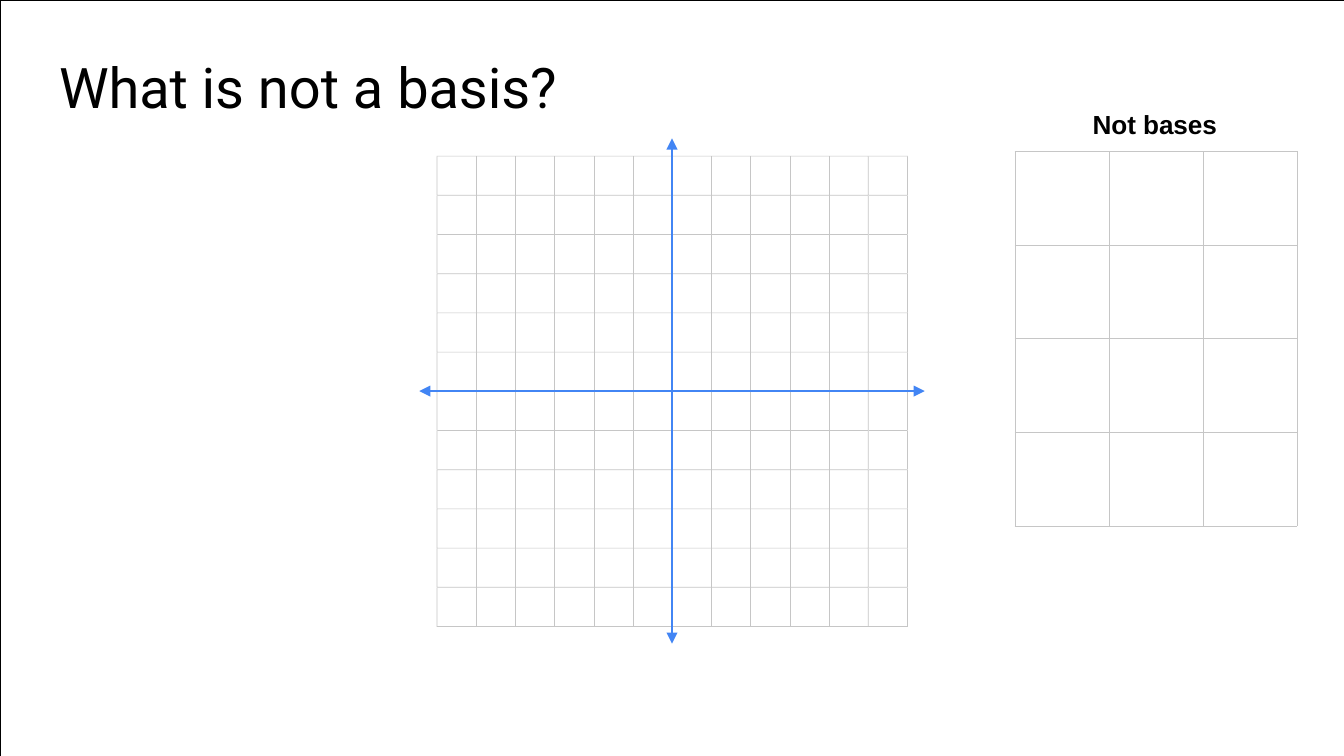
from lxml import etree
from pptx import Presentation
from pptx import util as u
from pptx.dml.color import RGBColor
from pptx.enum import shapes, text
from pptx.oxml.ns import qn

COLORS = {"ink": "000000", "grid": "C6C6C6", "axis": "4285F4"}


class Deck:
    def __init__(self, width, height):
        self.prs = Presentation()
        self.prs.slide_width = u.Inches(width)
        self.prs.slide_height = u.Inches(height)
        self.s = self.prs.slides.add_slide(self.prs.slide_layouts[6])

    def color(self, name):
        return RGBColor.from_string(COLORS[name])

    def frame(self, x, y, w, h):
        sp = self.s.shapes.add_shape(
            shapes.MSO_SHAPE.RECTANGLE, *map(u.Inches, (x, y, w, h)))
        sp.shadow.inherit = False
        sp.fill.background()
        sp.line.color.rgb = self.color("ink")
        sp.line.width = u.Pt(0.25)

    def bars(self, boxes, color):
        """One filled outline made of (x, y, w, h) bars."""
        fb = None
        for box in boxes:
            x, y, w, h = map(u.Inches, box)
            if fb is None:
                fb = self.s.shapes.build_freeform(x, y)
            else:
                fb.move_to(x, y)
            fb.add_line_segments([(x + w, y), (x + w, y + h), (x, y + h)])
        sp = fb.convert_to_shape()
        sp.shadow.inherit = False
        sp.fill.solid()
        sp.fill.fore_color.rgb = self.color(color)
        sp.line.fill.background()

    def axis(self, x1, y1, x2, y2):
        c = self.s.shapes.add_connector(
            shapes.MSO_CONNECTOR.STRAIGHT, *map(u.Inches, (x1, y1, x2, y2)))
        c.line.color.rgb = self.color("axis")
        c.line.width = u.Pt(1)
        ln = c.line._get_or_add_ln()
        for end in ("a:headEnd", "a:tailEnd"):
            etree.SubElement(ln, qn(end), type="triangle", w="med", len="med")
        etree.SubElement(c._element.spPr, qn("a:effectLst"))

    def label(self, x, y, w, h, runs, font, size, bold=False):
        sp = self.s.shapes.add_textbox(*map(u.Inches, (x, y, w, h)))
        tf = sp.text_frame
        tf.word_wrap = False
        tf.auto_size = text.MSO_AUTO_SIZE.NONE
        tf.margin_right = tf.margin_top = tf.margin_bottom = 0
        tf.margin_left = u.Inches(0.01)
        p = tf.paragraphs[0]
        for words, spacing in runs:
            r = p.add_run()
            r.text = words
            r.font.name = font
            r.font.size = u.Pt(size)
            r.font.bold = bold
            r.font.color.rgb = self.color("ink")
            r._r.get_or_add_rPr().set("spc", str(spacing))

    def empty_table(self, x, y, w, h, rows, cols):
        tb = self.s.shapes.add_table(
            rows, cols, *map(u.Inches, (x, y, w, h))).table
        tb.first_row = tb.horz_banding = False
        for part in tb.columns:
            part.width = u.Inches(w / cols)
        for part in tb.rows:
            part.height = u.Inches(h / rows)
        for c in tb.iter_cells():
            self.borders(c)
            c.fill.background()

    def borders(self, cell):
        tc_pr = cell._tc.get_or_add_tcPr()
        for side in ("a:lnL", "a:lnR", "a:lnT", "a:lnB"):
            ln = etree.SubElement(tc_pr, qn(side), w=str(u.Pt(0.25)))
            fill = etree.SubElement(ln, qn("a:solidFill"))
            etree.SubElement(fill, qn("a:srgbClr"), val=COLORS["grid"])


def main():
    d = Deck(10, 5.625)
    d.frame(0, 0, 10, 5.625)

    # Coordinate grid, 12 by 12 squares
    left, top, side, n = 3.25, 1.16, 3.5, 12
    thick = u.Pt(0.35).inches
    steps = [i * side / n for i in range(n + 1)]
    columns = [(left + step, top, thick, side) for step in steps]
    rows = [(left, top + step, side + thick, thick) for step in steps]
    for column in columns[1:-2]:
        d.bars([column], "grid")
    d.bars(columns[:1] + columns[-2:] + rows, "grid")

    # Axes
    cx, cy, reach = 5, 2.91, 1.88
    d.axis(cx - reach, cy, cx + reach, cy)
    d.axis(cx, cy - reach, cx, cy + reach)

    # Title
    d.label(0.43, 0.39, 3.78, 0.53,
            [("What is ", -5), ("not a ", 0), ("basis?", -5)], "Roboto", 30)

    # Table of non-bases
    d.label(8.12, 0.81, 0.96, 0.26, [("Not bases", -5)], "Arial", 14, bold=True)
    d.empty_table(7.55, 1.125, 2.1, 2.79, 4, 3)

    d.prs.save("out.pptx")


if __name__ == "__main__":
    main()
